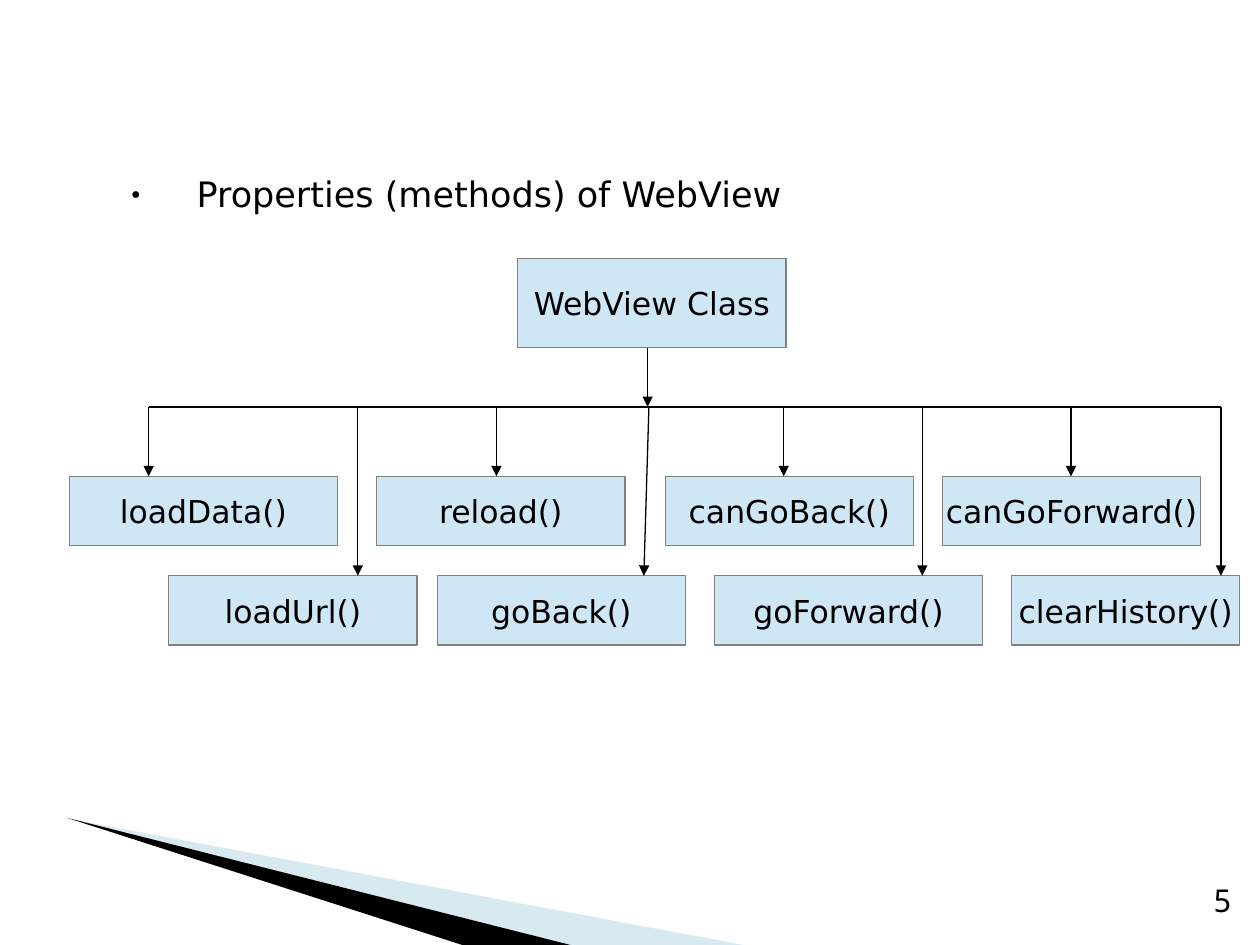
from lxml import etree
from pptx import Presentation
from pptx.dml.color import RGBColor
from pptx.enum.shapes import MSO_CONNECTOR, MSO_SHAPE
from pptx.enum.text import MSO_ANCHOR, PP_ALIGN
from pptx.oxml.ns import qn
from pptx.util import Inches, Pt

STRAIGHT = MSO_CONNECTOR.STRAIGHT
RECT = MSO_SHAPE.RECTANGLE
MIDDLE = MSO_ANCHOR.MIDDLE
CENTER = PP_ALIGN.CENTER

BLACK = RGBColor(0x00, 0x00, 0x00)
GREY = RGBColor(0x80, 0x80, 0x80)
BOX_BLUE = RGBColor(0xCF, 0xE7, 0xF5)
WEDGE_BLUE = RGBColor(0x9F, 0xCB, 0xDC)

SANS = "DejaVu Sans"
MONO = "Noto Sans Mono"

BUS_Y = 3.23
BUS_LEFT, BUS_RIGHT = 1.18, 9.69
BOX_HEIGHT = 0.55

# Row top, then for each method: name, box left, box width, arrow start x, arrow end x
METHOD_ROWS = [
    (3.78, [
        ("loadData()", 0.55, 2.13, BUS_LEFT, BUS_LEFT),
        ("reload()", 2.99, 1.97, 3.94, 3.94),
        ("canGoBack()", 5.28, 1.97, 6.22, 6.22),
        ("canGoForward()", 7.48, 2.05, 8.5, 8.5),
    ]),
    (4.57, [
        ("loadUrl()", 1.34, 1.97, 2.84, 2.84),
        ("goBack()", 3.47, 1.97, 5.15, 5.11),
        ("goForward()", 5.67, 2.13, 7.32, 7.32),
        ("clearHistory()", 8.03, 1.81, BUS_RIGHT, BUS_RIGHT),
    ]),
]


def set_text(p, text, size, font=SANS):
    r = p.add_run()
    r.text = text
    for name, value in {"size": Pt(size), "name": font}.items():
        setattr(r.font, name, value)
    r.font.color.rgb = BLACK


def place(s, left, top, width, height):
    s.left, s.top = Inches(left), Inches(top)
    s.width, s.height = Inches(width), Inches(height)


def add_wedge(slide, points, color, opacity=100):
    corners = [(Inches(x), Inches(y)) for x, y in points]
    builder = slide.shapes.build_freeform(*corners[0])
    builder.add_line_segments(corners[1:], close=True)
    s = builder.convert_to_shape()
    s.shadow.inherit = False
    s.line.fill.background()
    s.fill.solid()
    s.fill.fore_color.rgb = color
    if opacity < 100:
        clr = s.fill._xPr.find(".//" + qn("a:srgbClr"))
        etree.SubElement(clr, qn("a:alpha"), val=str(opacity * 1000))


def add_bullet_line(slide, text):
    body = slide.placeholders[1]
    place(body, 0.94, 1.32, 8.74, 5.06)
    p = body.text_frame.paragraphs[0]
    pPr = p._p.get_or_add_pPr()
    indent = Inches(0.52)
    pPr.set("marL", str(indent))
    pPr.set("indent", str(-indent))
    etree.SubElement(pPr, qn("a:buSzPct"), val="45000")
    etree.SubElement(pPr, qn("a:buChar"), char="●")
    p.space_before = Pt(0)
    set_text(p, text, 20)


def add_box(slide, text, left, top, width, height=BOX_HEIGHT):
    s = slide.shapes.add_shape(RECT, Inches(left), Inches(top), Inches(width), Inches(height))
    s.shadow.inherit = False
    s.fill.solid()
    s.fill.fore_color.rgb = BOX_BLUE
    s.line.color.rgb = GREY
    s.line.width = Pt(0.75)
    tf = s.text_frame
    tf.word_wrap = False
    tf.vertical_anchor = MIDDLE
    p = tf.paragraphs[0]
    p.alignment = CENTER
    set_text(p, text, 18)


def add_line(slide, x1, y1, x2, y2, arrow=True):
    s = slide.shapes.add_connector(STRAIGHT, Inches(x1), Inches(y1), Inches(x2), Inches(y2))
    s.line.color.rgb = BLACK
    s.line.width = Pt(0.75)
    if arrow:
        etree.SubElement(s.line._get_or_add_ln(), qn("a:tailEnd"), type="triangle")
    etree.SubElement(s._element.spPr, qn("a:effectLst"))


def add_slide_number(slide, number):
    tb = slide.shapes.add_textbox(Inches(9.53), Inches(6.94), Inches(0.36), Inches(0.47))
    tb.text_frame.word_wrap = False
    set_text(tb.text_frame.paragraphs[0], number, 18, MONO)


def main():
    prs = Presentation()
    prs.slide_width, prs.slide_height = Inches(10), Inches(7.5)
    slide = prs.slides.add_slide(prs.slide_layouts[1])
    title = slide.shapes.title._element
    title.getparent().remove(title)

    add_wedge(slide, [(0.55, 6.5), (5.9, 7.5), (4.53, 7.5)], WEDGE_BLUE, opacity=40)
    add_wedge(slide, [(0.53, 6.49), (4.53, 7.5), (3.67, 7.5)], BLACK)
    add_bullet_line(slide, "Properties (methods) of WebView")

    add_box(slide, "WebView Class", 4.11, 2.05, 2.13, 0.71)
    add_line(slide, 5.14, 2.76, 5.14, BUS_Y)
    add_line(slide, BUS_LEFT, BUS_Y, BUS_RIGHT, BUS_Y, arrow=False)
    for top, methods in METHOD_ROWS:
        for name, left, width, start_x, end_x in methods:
            add_box(slide, name, left, top, width)
            add_line(slide, start_x, BUS_Y, end_x, top)

    add_slide_number(slide, "5")
    prs.save("out.pptx")


if __name__ == "__main__":
    main()
